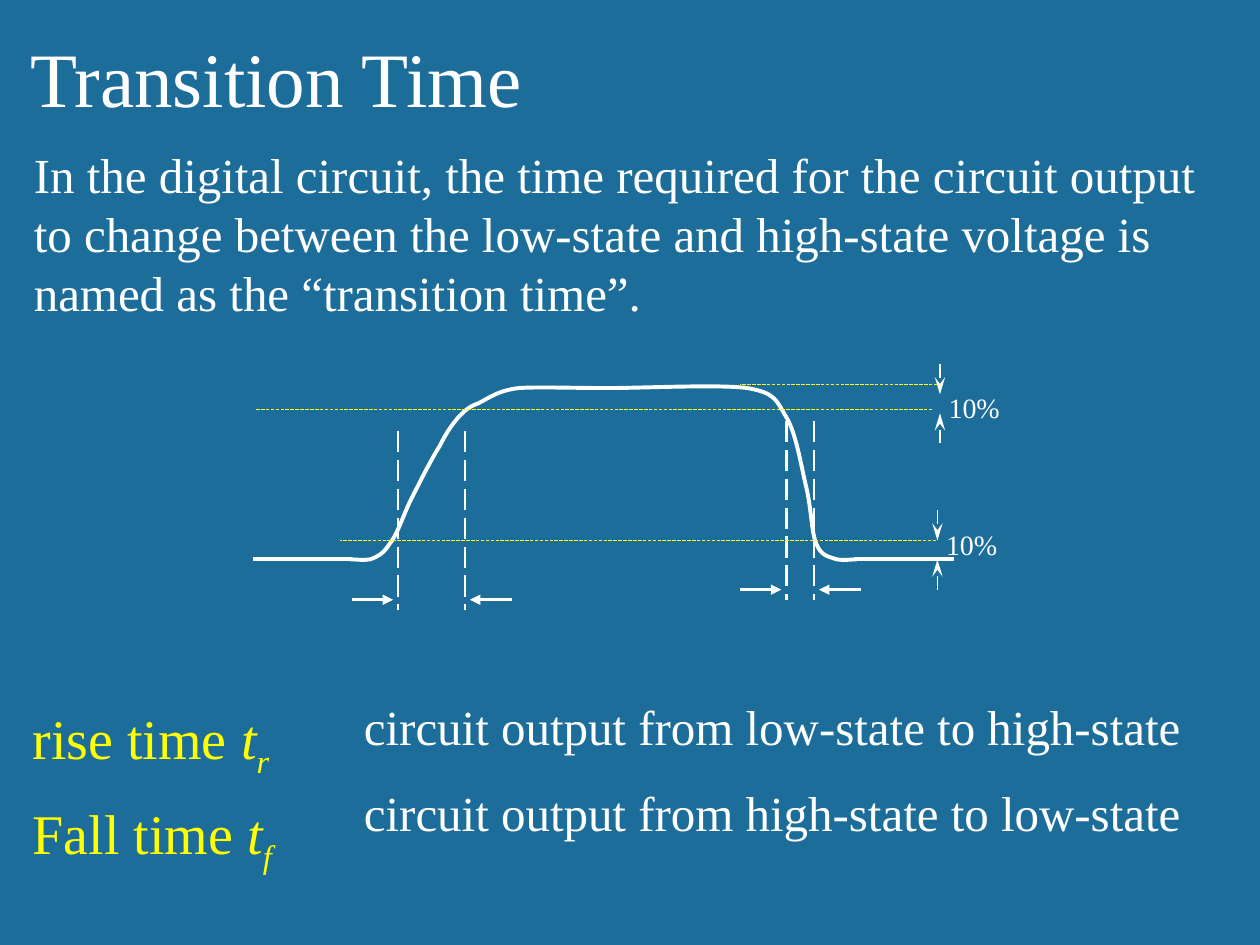
import pptx
import pptx.dml.color
import pptx.enum.dml
import pptx.enum.shapes
import pptx.enum.text
import pptx.oxml.ns
import pptx.util
from lxml import etree
from pptx.util import Inches, Pt

FONT = "Times New Roman"
BACKGROUND, WHITE, YELLOW = "1C6D9A", "FFFFFF", "FFFF00"

TITLE = "Transition Time"
DEFINITION = ("In the digital circuit, the time required for the circuit output to change "
              "between the low-state and high-state voltage is named as the “transition time”.")
TERMS = [("rise time ", "t", "r"), ("Fall time ", "t", "f")]
MEANINGS = ["circuit output from low-state to high-state",
            "circuit output from high-state to low-state"]

# Each transition: x of its start and end, top of its markers
TRANSITIONS = [(3.16, 3.69, 3.42), (6.24, 6.46, 3.34)]
MARKER_HEIGHT, ARROW_Y, ARROW_GAP, ARROW_LENGTH = 1.42, 1.34, 0.04, 0.33

# Each 10% band: x of its arrows, tips of the upper and lower arrow, label position
BANDS = [(7.44, 4.29, 4.44, (7.41, 4.14)), (7.46, 3.13, 3.28, (7.43, 3.05))]
BAND_ARROW_LENGTH = 0.24

# Each level line: right end, left end, y
LEVELS = [(7.43, 2.7, 4.29), (7.4, 2.03, 3.25), (7.44, 5.87, 3.05)]

LOW_Y = 4.44
LOW_STATES = [(2.01, 2.79), (6.78, 7.57)]
PULSE_START = (2.78, LOW_Y)
PULSE_CURVES = [  # two control points and an end point each
    ((2.83, 4.44), (2.88, 4.45), (2.94, 4.44)),
    ((2.99, 4.42), (3.04, 4.4), (3.09, 4.32)),
    ((3.15, 4.25), (3.19, 4.12), (3.25, 3.99)),
    ((3.32, 3.85), (3.42, 3.65), (3.49, 3.54)),
    ((3.55, 3.42), (3.59, 3.37), (3.64, 3.31)),
    ((3.7, 3.25), (3.72, 3.23), (3.8, 3.2)),
    ((3.88, 3.16), (3.95, 3.1), (4.12, 3.08)),
    ((4.29, 3.07), (4.52, 3.08), (4.83, 3.08)),
    ((5.13, 3.08), (5.69, 3.05), (5.93, 3.08)),
    ((6.16, 3.12), (6.16, 3.18), (6.24, 3.31)),
    ((6.32, 3.44), (6.36, 3.71), (6.4, 3.87)),
    ((6.44, 4.04), (6.44, 4.23), (6.48, 4.32)),
    ((6.52, 4.42), (6.59, 4.42), (6.64, 4.44)),
    ((6.69, 4.45), (6.77, 4.44), (6.8, 4.44)),
]


def rgb(color):
    return pptx.dml.color.RGBColor.from_string(color)


def add_run(paragraph, text, size=28, color=WHITE, italic=False, baseline=0):
    run = paragraph.add_run()
    run.text = text
    run.font.name, run.font.size, run.font.italic = FONT, Pt(size), italic
    run.font.color.rgb = rgb(color)
    if baseline:
        run.font._element.set("baseline", str(baseline * 1000))


def add_text(slide, text, left, top, width, height, wrap=True, box=None, **run_format):
    """Put text in the given box, or in a new text box; return its text frame."""
    box = box or slide.shapes.add_textbox(0, 0, 0, 0)
    box.left, box.top, box.width, box.height = map(Inches, (left, top, width, height))
    frame = box.text_frame
    frame.word_wrap = wrap
    frame.vertical_anchor = pptx.enum.text.MSO_ANCHOR.TOP
    frame.auto_size = pptx.enum.text.MSO_AUTO_SIZE.NONE
    frame.paragraphs[0].alignment = pptx.enum.text.PP_ALIGN.LEFT
    if text:
        add_run(frame.paragraphs[0], text, **run_format)
    return frame


def add_line(slide, start, end, width, color=WHITE, dashed=False, arrow=None, arrow_length="med"):
    line = slide.shapes.add_connector(pptx.enum.shapes.MSO_CONNECTOR.STRAIGHT,
                                      *map(Inches, start + end))
    line.line.width = Pt(width)
    line.line.color.rgb = rgb(color)
    if dashed:
        line.line.dash_style = pptx.enum.dml.MSO_LINE.LONG_DASH
    if arrow:
        etree.SubElement(line.line._get_or_add_ln(), pptx.oxml.ns.qn("a:tailEnd"),
                         type=arrow, w="med", len=arrow_length)
    etree.SubElement(line._element.spPr, pptx.oxml.ns.qn("a:effectLst"))


def add_curve(slide, start, curves):
    """Build a freeform through the curve ends, then bend each segment."""
    builder = slide.shapes.build_freeform(*map(Inches, start), scale=1.0)
    builder.add_line_segments([tuple(map(Inches, curve[-1])) for curve in curves], close=False)
    shape = builder.convert_to_shape()
    qn = pptx.oxml.ns.qn
    segments = list(shape._element.iter(qn("a:lnTo")))
    for segment, curve in zip(segments, curves):
        bend = etree.Element(qn("a:cubicBezTo"))
        for x, y in curve:
            etree.SubElement(bend, qn("a:pt"), x=str(Inches(x) - shape.left),
                             y=str(Inches(y) - shape.top))
        segment.getparent().replace(segment, bend)
    return shape


def add_pulse(slide):
    for left, right in LOW_STATES:
        add_line(slide, (left, LOW_Y), (right, LOW_Y), 2.25)
    pulse = add_curve(slide, PULSE_START, PULSE_CURVES)
    pulse.shadow.inherit = False
    pulse.fill.background()
    pulse.line.width = Pt(2.25)
    pulse.line.color.rgb = rgb(WHITE)


def add_diagram(slide):
    for start, end, top in TRANSITIONS:
        for x, side in ((start, -1), (end, 1)):
            add_line(slide, (x, top), (x, top + MARKER_HEIGHT), 1.5, dashed=True)
            tip, y = x + side * ARROW_GAP, top + ARROW_Y
            add_line(slide, (tip + side * ARROW_LENGTH, y), (tip, y), 1.5, arrow="triangle")
    add_pulse(slide)
    for right, left, y in LEVELS:
        add_line(slide, (right, y), (left, y), 0.25, YELLOW, dashed=True)
    for x, upper, lower, label in BANDS:
        add_text(slide, "10%", *label, 0.61, 0.37, wrap=False, size=16)
        for tip, side in ((upper, -1), (lower, 1)):
            add_line(slide, (x, tip + side * BAND_ARROW_LENGTH), (x, tip), 1,
                     arrow="stealth", arrow_length="lg")


def main():
    deck = pptx.Presentation()
    deck.slide_width, deck.slide_height = Inches(10), Inches(7.5)
    slide = deck.slides.add_slide(deck.slide_layouts[5])
    slide.background.fill.solid()
    slide.background.fill.fore_color.rgb = rgb(BACKGROUND)

    add_text(slide, TITLE, 0.14, 0.19, 4.14, 0.84, wrap=False, box=slide.shapes.title, size=44)
    add_diagram(slide)

    terms = add_text(slide, "", 0.16, 5.47, 5.27, 1.39)
    for index, (name, symbol, subscript) in enumerate(TERMS):
        paragraph = terms.add_paragraph() if index else terms.paragraphs[0]
        paragraph.line_spacing = 1.1
        if index:
            paragraph.space_before = Pt(6.4)
        add_run(paragraph, name, size=32, color=YELLOW)
        add_run(paragraph, symbol, size=32, color=YELLOW, italic=True)
        add_run(paragraph, subscript, size=32, color=YELLOW, italic=True, baseline=-25)

    add_text(slide, DEFINITION, 0.17, 1.1, 9.78, 1.51)
    for row, meaning in enumerate(MEANINGS):
        add_text(slide, meaning, 2.79, 5.48 + row * 0.68, 6.99, 0.57)
    deck.save("out.pptx")


if __name__ == "__main__":
    main()
